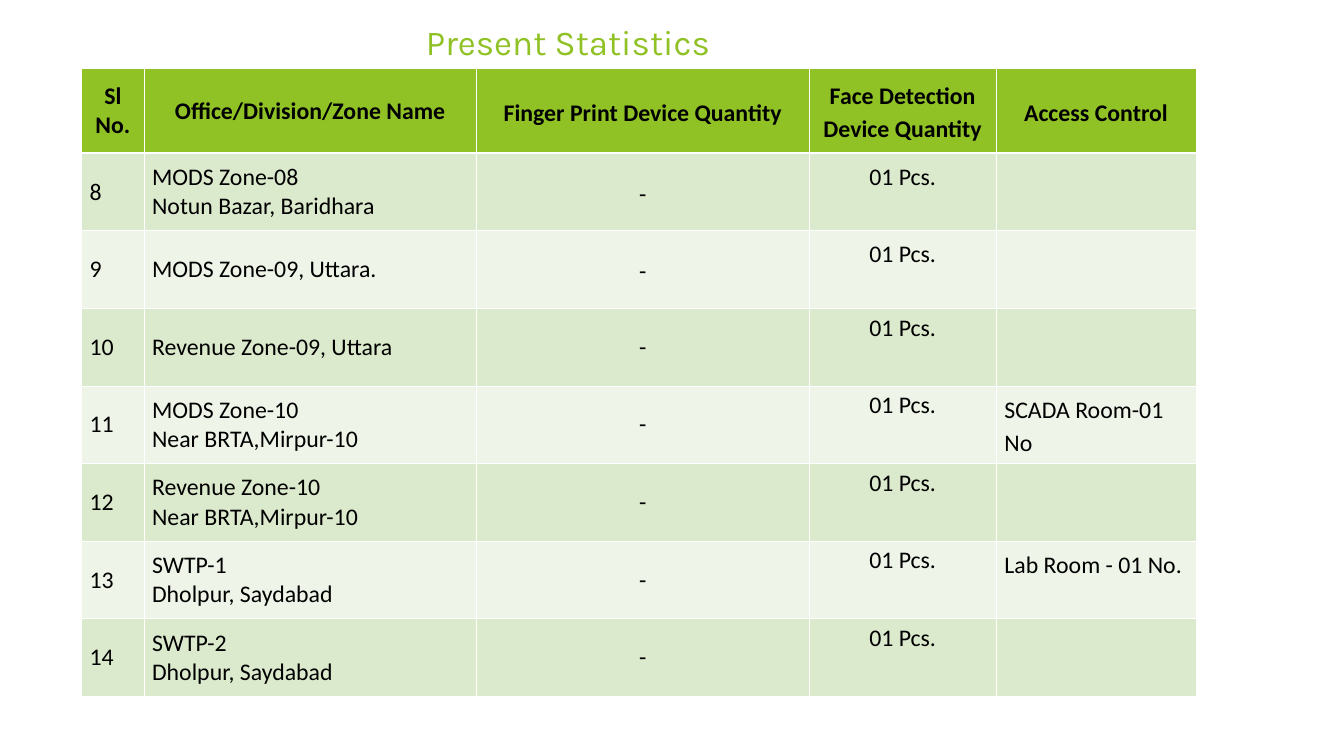
from dataclasses import dataclass

from lxml.etree import SubElement
from pptx import Presentation
from pptx.dml.color import RGBColor
from pptx.enum.text import MSO_ANCHOR, PP_ALIGN
from pptx.oxml.ns import qn
from pptx.util import Inches, Pt


@dataclass(frozen=True)
class Theme:
    green: str = "90C226"
    band_dark: str = "DBE9CD"
    band_light: str = "EEF4E8"
    white: str = "FFFFFF"
    black: str = "000000"
    title_font: str = "Karla"
    body_font: str = "Calibri"
    title_size: float = 25
    body_size: float = 17
    thin_line: float = 0.45
    thick_line: float = 1.47


THEME = Theme()

COLUMN_WIDTHS = [0.62, 3.3, 3.3, 1.86, 1.98]
HEADER_HEIGHT = 0.84
ROW_HEIGHT = 0.77
HEADERS = [
    "Sl No.",
    "Office/Division/Zone Name",
    "Finger Print Device Quantity",
    "Face Detection Device Quantity",
    "Access Control",
]
# Serial number, office lines, access control
OFFICES = [
    ("8", ["MODS Zone-08", "Notun Bazar, Baridhara"], ""),
    ("9", ["MODS Zone-09, Uttara."], ""),
    ("10", ["Revenue Zone-09, Uttara"], ""),
    ("11", ["MODS Zone-10", "Near BRTA,Mirpur-10"], "SCADA Room-01 No"),
    ("12", ["Revenue Zone-10", "Near BRTA,Mirpur-10"], ""),
    ("13", ["SWTP-1", "Dholpur, Saydabad"], "Lab Room - 01 No."),
    ("14", ["SWTP-2", "Dholpur, Saydabad"], ""),
]
LOOSE_ROWS = 2  # the first offices have looser device quantities


def add_run(paragraph, text, font_name, size, color, bold=False):
    run = paragraph.add_run()
    run.text = text
    run.font.name = font_name
    run.font.size = Pt(size)
    run.font.bold = bold
    run.font.color.rgb = RGBColor.from_string(color)


def add_title(slide, text):
    box = slide.shapes.add_textbox(Inches(4.13), Inches(0.12), Inches(5.23), Inches(0.39))
    frame = box.text_frame
    frame.word_wrap = True
    frame.margin_top = Inches(0.08)
    add_run(frame.paragraphs[0], text, THEME.title_font, THEME.title_size, THEME.green)


def set_borders(cell, top, bottom):
    properties = cell._tc.get_or_add_tcPr()
    widths = {"a:lnL": THEME.thin_line, "a:lnR": THEME.thin_line, "a:lnT": top, "a:lnB": bottom}
    for tag, width in widths.items():
        line = SubElement(properties, qn(tag), w=str(Pt(width)))
        fill = SubElement(line, qn("a:solidFill"))
        SubElement(fill, qn("a:srgbClr"), val=THEME.white)


def style_cell(cell, row_index):
    """Set the borders, margins and banded fill of a cell."""
    top = THEME.thick_line if row_index == 1 else THEME.thin_line
    bottom = THEME.thick_line if row_index == 0 else THEME.thin_line
    set_borders(cell, top, bottom)
    if row_index == 0:
        color = THEME.green
    else:
        color = THEME.band_dark if row_index % 2 else THEME.band_light
    cell.fill.solid()
    cell.fill.fore_color.rgb = RGBColor.from_string(color)
    cell.margin_left = cell.margin_right = Inches(0.08)
    cell.margin_top = cell.margin_bottom = Inches(0.05)


def write_cell(cell, lines, centered=False, loose=False, middle=True, bold=False):
    cell.vertical_anchor = MSO_ANCHOR.MIDDLE if middle else MSO_ANCHOR.TOP
    frame = cell.text_frame
    for index, line in enumerate(lines):
        paragraph = frame.add_paragraph() if index else frame.paragraphs[0]
        paragraph.alignment = PP_ALIGN.CENTER if centered else PP_ALIGN.LEFT
        if loose:
            paragraph.line_spacing = 1.15
            paragraph.space_after = Pt(10)
        add_run(paragraph, line, THEME.body_font, THEME.body_size, THEME.black, bold)


def add_statistics_table(slide):
    height = HEADER_HEIGHT + ROW_HEIGHT * len(OFFICES)
    frame = slide.shapes.add_table(
        len(OFFICES) + 1, len(HEADERS),
        Inches(0.81), Inches(0.68), Inches(sum(COLUMN_WIDTHS)), Inches(height),
    )
    table = frame.table
    for column, width in zip(table.columns, COLUMN_WIDTHS):
        column.width = Inches(width)
    for row_index, row in enumerate(table.rows):
        row.height = Inches(ROW_HEIGHT if row_index else HEADER_HEIGHT)
        for cell in row.cells:
            style_cell(cell, row_index)

    for column_index, header in enumerate(HEADERS):
        write_cell(table.cell(0, column_index), [header],
                   centered=True, loose=column_index >= 2, bold=True)
    for row_index, (serial, office, access) in enumerate(OFFICES, start=1):
        loose = row_index <= LOOSE_ROWS
        write_cell(table.cell(row_index, 0), [serial])
        write_cell(table.cell(row_index, 1), office)
        write_cell(table.cell(row_index, 2), ["-"], centered=True, loose=loose)
        write_cell(table.cell(row_index, 3), ["01 Pcs."], centered=True, loose=loose, middle=False)
        if access:
            write_cell(table.cell(row_index, 4), [access], loose=True, middle=False)


def main():
    presentation = Presentation()
    presentation.slide_width = Inches(13.34)
    presentation.slide_height = Inches(7.5)
    slide = presentation.slides.add_slide(presentation.slide_layouts[6])
    add_title(slide, "Present Statistics")
    add_statistics_table(slide)
    presentation.save("out.pptx")


if __name__ == "__main__":
    main()
